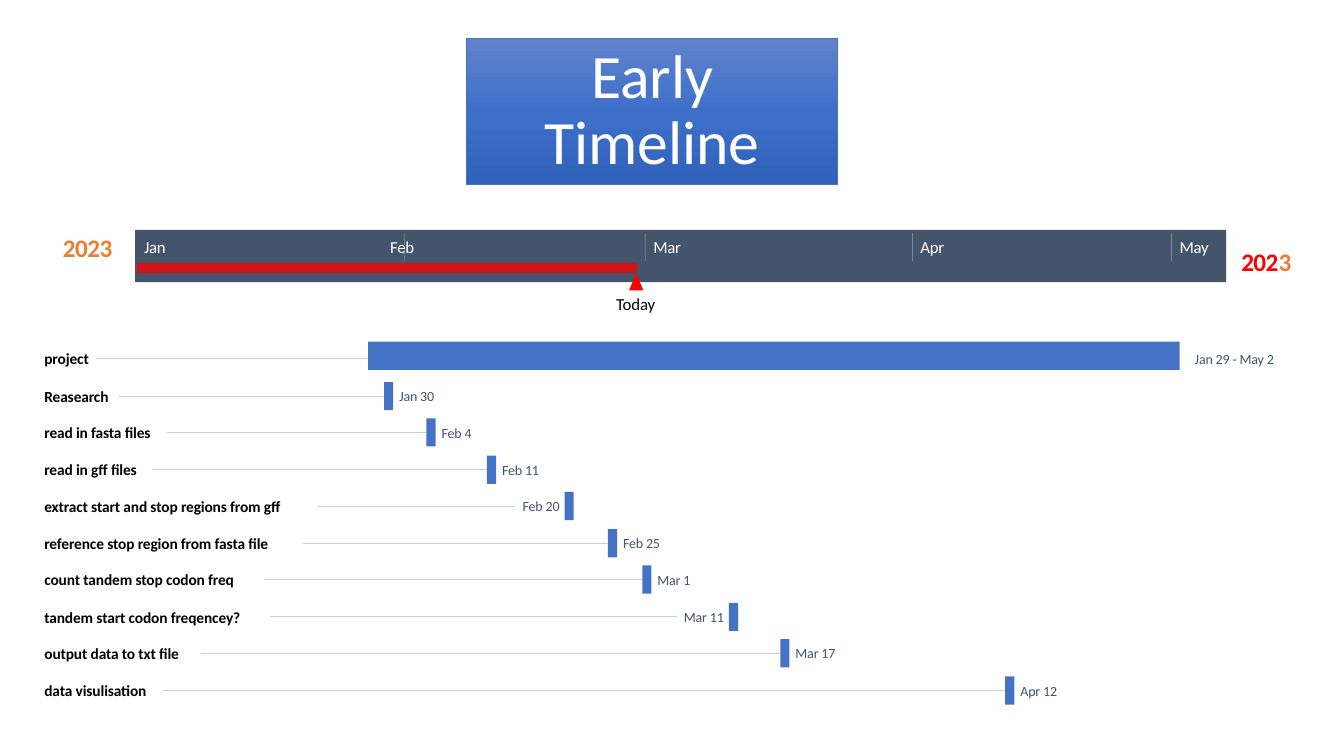
import pptx
import pptx.util
import pptx.dml.color
import pptx.enum.shapes
import pptx.enum.text
import pptx.oxml
import pptx.oxml.ns

PX = 9144
THEME = {
    "font": "Calibri",
    "title": 44, "year": 18, "month": 12, "task": 11, "date": 10,
    "white": "FFFFFF", "black": "000000", "slate": "44546A", "blue": "4472C4",
    "red": "FF0000", "orange": "ED7D31", "gray": "CCCCCC",
    "gradient": [(0, "6183CB"), (50, "3E70CA"), (100, "3062BB")],
}
ALIGN = pptx.enum.text.PP_ALIGN
SHAPE = pptx.enum.shapes.MSO_SHAPE
MIDDLE = pptx.enum.text.MSO_ANCHOR.MIDDLE
STRAIGHT = pptx.enum.shapes.MSO_CONNECTOR.STRAIGHT
rgb = pptx.dml.color.RGBColor.from_string

deck = pptx.Presentation()
deck.slide_width, deck.slide_height = 1333 * PX, 750 * PX
slide = deck.slides.add_slide(deck.slide_layouts[5])


def block(left, top, width, height, color, preset=SHAPE.RECTANGLE):
    shape = slide.shapes.add_shape(preset, left * PX, top * PX, width * PX, height * PX)
    shape.shadow.inherit = False
    shape.fill.solid()
    shape.fill.fore_color.rgb = rgb(THEME[color])
    shape.line.fill.background()
    return shape


def write(left, top, width, height, pieces, size, align=ALIGN.LEFT, bold=False, wrap=True, spacing=-10):
    box = slide.shapes.add_textbox(left * PX, top * PX, width * PX, height * PX)
    frame = {"margin_left": 0, "margin_top": 0, "margin_right": 0, "margin_bottom": 0,
             "vertical_anchor": MIDDLE, "word_wrap": wrap}
    for key, value in frame.items():
        setattr(box.text_frame, key, value)
    paragraph = box.text_frame.paragraphs[0]
    paragraph.alignment = align
    for words, color in pieces:
        run = paragraph.add_run()
        run.text = words
        look = {"name": THEME["font"], "size": pptx.util.Pt(THEME[size]), "bold": bold}
        for key, value in look.items():
            setattr(run.font, key, value)
        run.font.color.rgb = rgb(THEME[color])
        run.font._element.set("spc", str(spacing))
    return box


title = slide.shapes.title
place = {"left": 463 * PX, "top": 38 * PX, "width": 368 * PX, "height": 145 * PX}
for key, value in place.items():
    setattr(title, key, value)
stops = "".join(f'<a:gs pos="{at * 1000}"><a:srgbClr val="{color}"/></a:gs>' for at, color in THEME["gradient"])
title._element.spPr.append(pptx.oxml.parse_xml(
    f'<a:gradFill {pptx.oxml.ns.nsdecls("a")} rotWithShape="1"><a:gsLst>{stops}</a:gsLst>'
    '<a:lin ang="5400000" scaled="0"/></a:gradFill>'))
title.line.color.rgb = rgb(THEME["blue"])
title.line.width = pptx.util.Pt(0.5)
title.text_frame.text = "Early Timeline"
title.text_frame.vertical_anchor = MIDDLE
title.text_frame.word_wrap = True
heading = title.text_frame.paragraphs[0]
heading.alignment = ALIGN.CENTER
heading.line_spacing = 0.9
heading_font = heading.runs[0].font
for key, value in {"name": THEME["font"], "size": pptx.util.Pt(THEME["title"])}.items():
    setattr(heading_font, key, value)
heading_font.color.rgb = rgb(THEME["white"])

month_start = {"Jan": 0, "Feb": 31, "Mar": 59, "Apr": 90, "May": 120}
day_x = [round(135.4 + 8.556 * day) for day in range(121)]
today = day_x[58]
rules = []

for left, top, year in [(59, 226, [("2023", "orange")]),
                        (1228, 240, [("202", "red"), ("3", "orange")])]:
    write(left, top, 56, 38, year, "year", ALIGN.CENTER, True, False, -40)

block(134, 228, 1082, 52, "slate")
elapsed = block(136, 261, today - 136, 10, "red")
elapsed_color = elapsed.fill._xPr.find(".//" + pptx.oxml.ns.qn("a:srgbClr"))
elapsed_color.append(pptx.oxml.parse_xml(f'<a:alpha {pptx.oxml.ns.nsdecls("a")} val="75000"/>'))
block(today - 8, 271, 14, 17, "red", SHAPE.ISOSCELES_TRIANGLE)
write(today - 24, 288, 45, 26, [("Today", "black")], "month", ALIGN.CENTER, wrap=False)

month_widths = {"Jan": 25, "Feb": 27, "Mar": 32, "Apr": 27, "May": 33}
for month, width in month_widths.items():
    tick = day_x[month_start[month]]
    shift = -14 if month == "Feb" else 8
    write(tick + shift, 232, width, 26, [(month, "white")], "month", wrap=False, spacing=-20)
    if month != "Jan":
        divider = slide.shapes.add_connector(STRAIGHT, tick * PX, 231 * PX, tick * PX, 259 * PX)
        rules.append((divider, "white", 30))

tasks = [
    ("project", 52, "Jan 29 - May 2", 93),
    ("Reasearch", 74, "Jan 30", 41),
    ("read in fasta files", 122, "Feb 4", 36),
    ("read in gff files", 107, "Feb 11", 44),
    ("extract start and stop regions from gff", 271, "Feb 20", 44),
    ("reference stop region from fasta file", 257, "Feb 25", 44),
    ("count tandem stop codon freq", 218, "Mar 1", 39),
    ("tandem start codon freqencey?", 224, "Mar 11", 47),
    ("output data to txt file", 155, "Mar 17", 47),
    ("data visulisation", 118, "Apr 12", 42),
]
dates_before_bar = ("Feb 20", "Mar 11")
for row, (task, task_width, date, date_width) in enumerate(tasks):
    middle = round(356 + 36.56 * row)
    month, day = date.split()[:2]
    start = day_x[month_start[month] + int(day) - 1] - 3
    whole_project = task == "project"
    early_date = date in dates_before_bar
    if whole_project:
        bar = block(365, 339, 805, 28, "blue")
        date_left = 1185
    else:
        bar = block(start, middle - 14, 9, 28, "blue")
        date_left = start - 5 - date_width if early_date else start + 15
    due = write(date_left, middle - 10, date_width, 20, [(date, "slate")], "date",
                ALIGN.RIGHT if early_date else ALIGN.LEFT)
    label = write(44, middle - 12, task_width, 24, [(task, "black")], "task", bold=True)
    leader = slide.shapes.add_connector(STRAIGHT, label.left + label.width, middle * PX, bar.left, middle * PX)
    leader.begin_connect(label, 3)
    if not whole_project:
        leader.end_connect(due if early_date else bar, 1)
    rules.append((leader, "gray", 100))

for rule, color, opacity in rules:
    rule.line.color.rgb = rgb(THEME[color])
    rule.line.width = pptx.util.Pt(0.6)
    properties = rule._element.spPr
    if opacity < 100:
        properties.find(".//" + pptx.oxml.ns.qn("a:srgbClr")).append(
            pptx.oxml.parse_xml(f'<a:alpha {pptx.oxml.ns.nsdecls("a")} val="{opacity * 1000}"/>'))
    properties.append(pptx.oxml.parse_xml(f'<a:effectLst {pptx.oxml.ns.nsdecls("a")}/>'))

deck.save("out.pptx")
